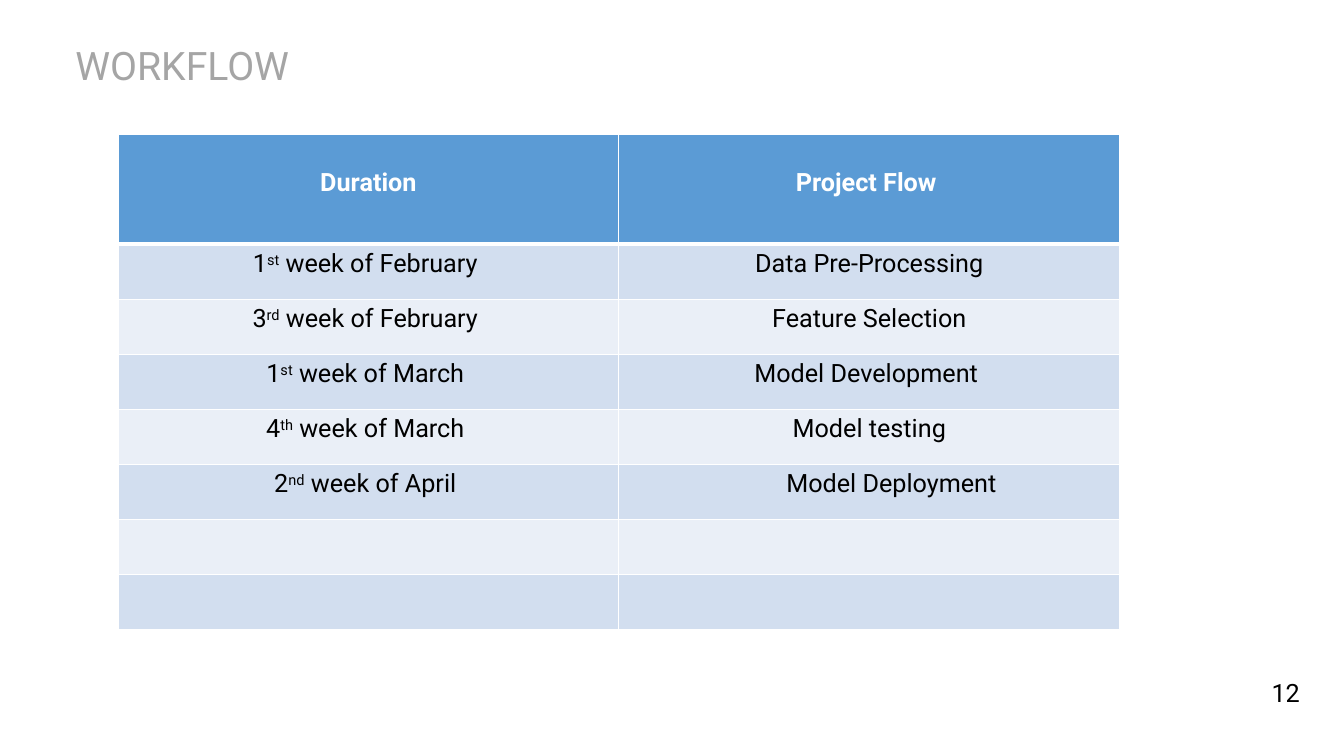
from dataclasses import dataclass

from lxml import etree
from pptx import Presentation
from pptx.dml.color import RGBColor
from pptx.enum.text import MSO_ANCHOR, PP_ALIGN
from pptx.oxml.ns import qn
from pptx.slide import Slide
from pptx.table import Table
from pptx.text.text import TextFrame
from pptx.util import Pt

LEFT, CENTER = PP_ALIGN.LEFT, PP_ALIGN.CENTER
TOP, MIDDLE = MSO_ANCHOR.TOP, MSO_ANCHOR.MIDDLE

FONT = "Roboto"
COLORS = {
    "title": "A5A5A5",
    "text": "000000",
    "white": "FFFFFF",
    "header": "5B9BD5",
    "odd": "D2DEEF",
    "even": "EAEFF7",
}

# Table measures in points
TABLE_LEFT, TABLE_TOP = 84.24, 95.76
COLUMN_WIDTH, ROW_HEIGHT = 357.84, 39.36
HEADER_HEIGHT = 2 * ROW_HEIGHT
HEADER_INSET = 24.7
THIN, THICK = 1, 3


@dataclass
class Stage:
    number: str = ""
    suffix: str = ""
    period: str = ""
    task: str = ""
    indent: float = 0


STAGES = [
    Stage("1", "st", " week of February ", "Data Pre-Processing"),
    Stage("3", "rd", " week of February ", "Feature Selection"),
    Stage("1", "st", " week of March ", "Model Development "),
    Stage("4", "th", " week of March ", "Model testing"),
    Stage("2", "nd", " week of April ", "Model Deployment ", indent=36),
    Stage(),
    Stage(),
]


def write(frame: TextFrame, text: str, *, size: float = 18, color: str = "text",
          bold: bool = False, align: PP_ALIGN = CENTER, raised: bool = False,
          indent: float = 0) -> None:
    """Append a formatted run to the frame's first paragraph."""
    paragraph = frame.paragraphs[0]
    paragraph.alignment = align
    if indent:
        paragraph.level = 1
        properties = paragraph._p.get_or_add_pPr()
        properties.set("marL", str(Pt(indent)))
        properties.set("indent", "0")
    run = paragraph.add_run()
    run.text = text
    run.font.name = FONT
    run.font.size = Pt(size)
    run.font.bold = bold
    run.font.color.rgb = RGBColor.from_string(COLORS[color])
    if raised:
        run._r.get_or_add_rPr().set("baseline", "30000")


def add_text_frame(slide: Slide, left: float, top: float, width: float,
                   height: float, anchor: MSO_ANCHOR) -> TextFrame:
    box = slide.shapes.add_textbox(Pt(left), Pt(top), Pt(width), Pt(height))
    box.text_frame.word_wrap = True
    box.text_frame.vertical_anchor = anchor
    return box.text_frame


def style_cells(table: Table) -> None:
    """Give every cell its white borders and its banded fill."""
    for row_index, row in enumerate(table.rows):
        top = THICK if row_index == 1 else THIN
        bottom = THICK if row_index == 0 else THIN
        band = "odd" if row_index % 2 else "even"
        for cell in row.cells:
            properties = cell._tc.get_or_add_tcPr()
            borders = {"a:lnL": THIN, "a:lnR": THIN, "a:lnT": top, "a:lnB": bottom}
            for side, weight in borders.items():
                line = etree.SubElement(properties, qn(side), w=str(Pt(weight)))
                solid = etree.SubElement(line, qn("a:solidFill"))
                etree.SubElement(solid, qn("a:srgbClr"), val=COLORS["white"])
            cell.fill.solid()
            cell.fill.fore_color.rgb = RGBColor.from_string(
                COLORS[band if row_index else "header"])


def add_schedule(slide: Slide) -> None:
    height = HEADER_HEIGHT + len(STAGES) * ROW_HEIGHT
    schedule = slide.shapes.add_table(
        len(STAGES) + 1, 2, Pt(TABLE_LEFT), Pt(TABLE_TOP),
        Pt(2 * COLUMN_WIDTH), Pt(height)).table
    schedule.first_row = False
    schedule.horz_banding = False
    for column in schedule.columns:
        column.width = Pt(COLUMN_WIDTH)
    for index, row in enumerate(schedule.rows):
        row.height = Pt(ROW_HEIGHT if index else HEADER_HEIGHT)
    style_cells(schedule)

    # Header row
    for column_index, heading in enumerate(["Duration", "Project Flow "]):
        cell = schedule.cell(0, column_index)
        cell.margin_top = Pt(HEADER_INSET)
        write(cell.text_frame, heading, color="white", bold=True)

    # Project stages
    for row_index, stage in enumerate(STAGES, start=1):
        if not stage.task:
            continue
        duration = schedule.cell(row_index, 0).text_frame
        write(duration, stage.number)
        write(duration, stage.suffix, raised=True)
        write(duration, stage.period)
        write(schedule.cell(row_index, 1).text_frame, stage.task, indent=stage.indent)


def main() -> None:
    deck = Presentation()
    deck.slide_width, deck.slide_height = Pt(960), Pt(540)
    slide = deck.slides.add_slide(deck.slide_layouts[6])

    # Title
    title = add_text_frame(slide, 46.8, 29.52, 488.88, 34.56, TOP)
    write(title, "WORKFLOW", size=28, color="title", align=LEFT)
    title.paragraphs[0].line_spacing = 0.9

    add_schedule(slide)

    # Page number
    page_number = add_text_frame(slide, 894.96, 480.24, 46.8, 28.8, MIDDLE)
    write(page_number, "12")

    deck.save("out.pptx")


if __name__ == "__main__":
    main()
